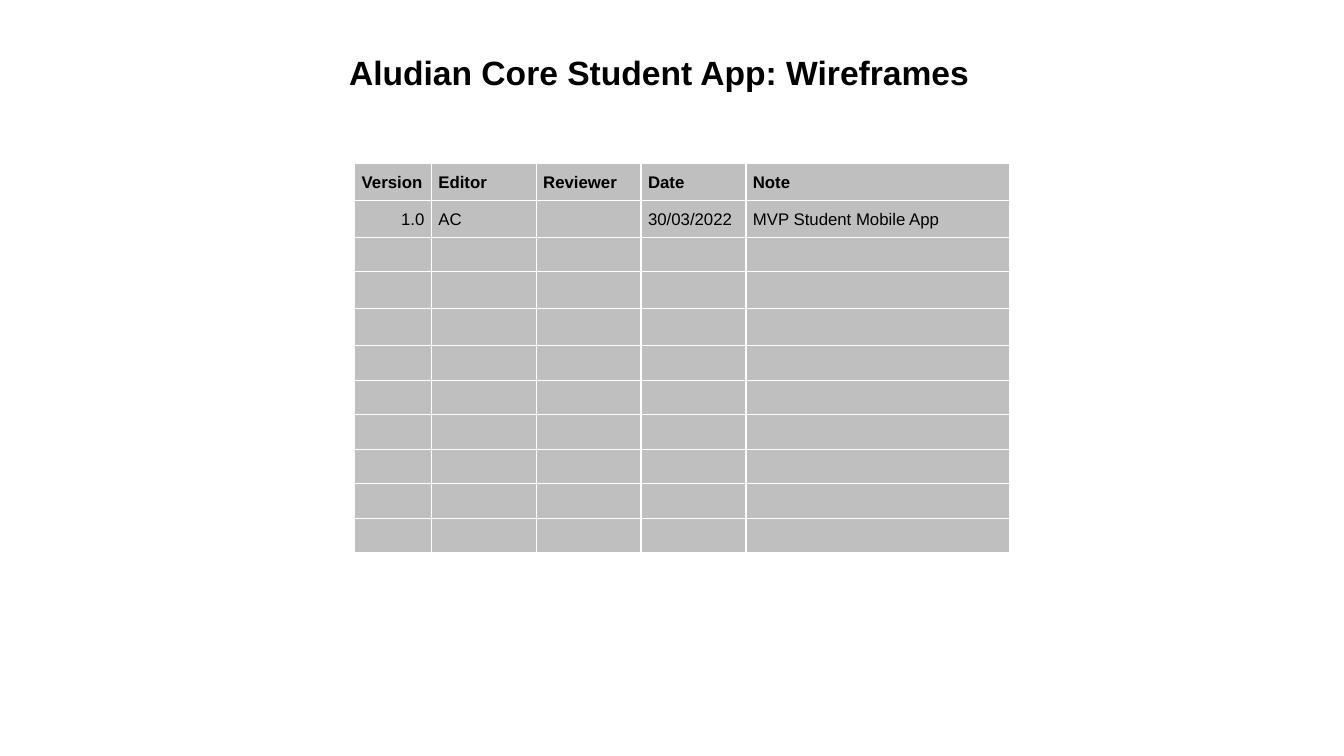
from dataclasses import dataclass

from lxml import etree
from pptx import Presentation
from pptx.dml.color import RGBColor
from pptx.enum.text import MSO_ANCHOR, MSO_AUTO_SIZE, PP_ALIGN
from pptx.oxml.ns import qn
from pptx.util import Pt

CENTER, RIGHT, JUSTIFY = PP_ALIGN.CENTER, PP_ALIGN.RIGHT, PP_ALIGN.JUSTIFY
TOP = MSO_ANCHOR.TOP
NO_AUTOSIZE = MSO_AUTO_SIZE.NONE


@dataclass(frozen=True)
class Theme:
    font: str = "Arial"
    text: str = "000000"
    cell: str = "BFBFBF"
    border: str = "FFFFFF"
    title_size: int = 24
    table_size: int = 12
    line_spacing: float = 1.15
    cell_margin: float = 5
    border_width: float = 1


THEME = Theme()
TITLE_BOX = (232.5, 25.9, 476.6, 41)
TABLE_BOX = (253.4, 116.8, 467.5, 277)
COLUMN_WEIGHTS = (0.76, 1.04, 1.04, 1.04, 2.61)
TALL_ROW, SHORT_ROW = 26.4, 24.5
TALL_ROWS = {0, 1, 3, 4}
ROW_COUNT = 11
HISTORY = (
    ("Version", "Editor", "Reviewer", "Date", "Note"),
    ("1.0", "AC", "", "30/03/2022", "MVP Student Mobile App"),
)


def write(paragraph, text, size, bold, alignment):
    paragraph.text = text
    paragraph.alignment = alignment
    paragraph.line_spacing = THEME.line_spacing
    for run in paragraph.runs:
        run.font.name = THEME.font
        run.font.size = Pt(size)
        run.font.bold = bold
        run.font.color.rgb = RGBColor.from_string(THEME.text)


def add_borders(cell):
    properties = cell._tc.get_or_add_tcPr()
    for index, side in enumerate(("a:lnL", "a:lnR", "a:lnT", "a:lnB")):
        line = etree.Element(qn(side), w=str(Pt(THEME.border_width)))
        fill = etree.SubElement(line, qn("a:solidFill"))
        etree.SubElement(fill, qn("a:srgbClr"), val=THEME.border)
        properties.insert(index, line)


def format_cell(cell, text, bold, alignment):
    cell.margin_left = cell.margin_right = Pt(THEME.cell_margin)
    cell.margin_top = cell.margin_bottom = Pt(THEME.cell_margin)
    cell.fill.solid()
    cell.fill.fore_color.rgb = RGBColor.from_string(THEME.cell)
    add_borders(cell)
    paragraph = cell.text_frame.paragraphs[0]
    if text:
        write(paragraph, text, THEME.table_size, bold, alignment)
    else:
        etree.SubElement(paragraph._p, qn("a:endParaRPr"), sz=str(THEME.table_size * 100))


def place_title(slide, box, text):
    title = slide.shapes.title
    title.left, title.top, title.width, title.height = map(Pt, box)
    frame = title.text_frame
    frame.word_wrap = False
    frame.auto_size = NO_AUTOSIZE
    frame.vertical_anchor = TOP
    frame.margin_top = Pt(6.8)
    write(frame.paragraphs[0], text, THEME.title_size, True, CENTER)


def add_history_table(slide, box):
    left, top, width, height = box
    column_count = len(COLUMN_WEIGHTS)
    table = slide.shapes.add_table(
        ROW_COUNT, column_count, Pt(left), Pt(top), Pt(width), Pt(height)
    ).table
    table.horz_banding = False
    for column, weight in zip(table.columns, COLUMN_WEIGHTS):
        column.width = Pt(width * weight / sum(COLUMN_WEIGHTS))
    for row_index, row in enumerate(table.rows):
        row.height = Pt(TALL_ROW if row_index in TALL_ROWS else SHORT_ROW)
        texts = HISTORY[row_index] if row_index < len(HISTORY) else ("",) * column_count
        is_header = row_index == 0
        for column_index, (cell, text) in enumerate(zip(row.cells, texts)):
            is_number = column_index == 0 and not is_header
            format_cell(cell, text, is_header, RIGHT if is_number else JUSTIFY)


def main():
    presentation = Presentation()
    presentation.slide_width, presentation.slide_height = Pt(960), Pt(540)
    slide = presentation.slides.add_slide(presentation.slide_layouts[5])
    place_title(slide, TITLE_BOX, "Aludian Core Student App: Wireframes")
    add_history_table(slide, TABLE_BOX)
    presentation.save("out.pptx")


if __name__ == "__main__":
    main()
